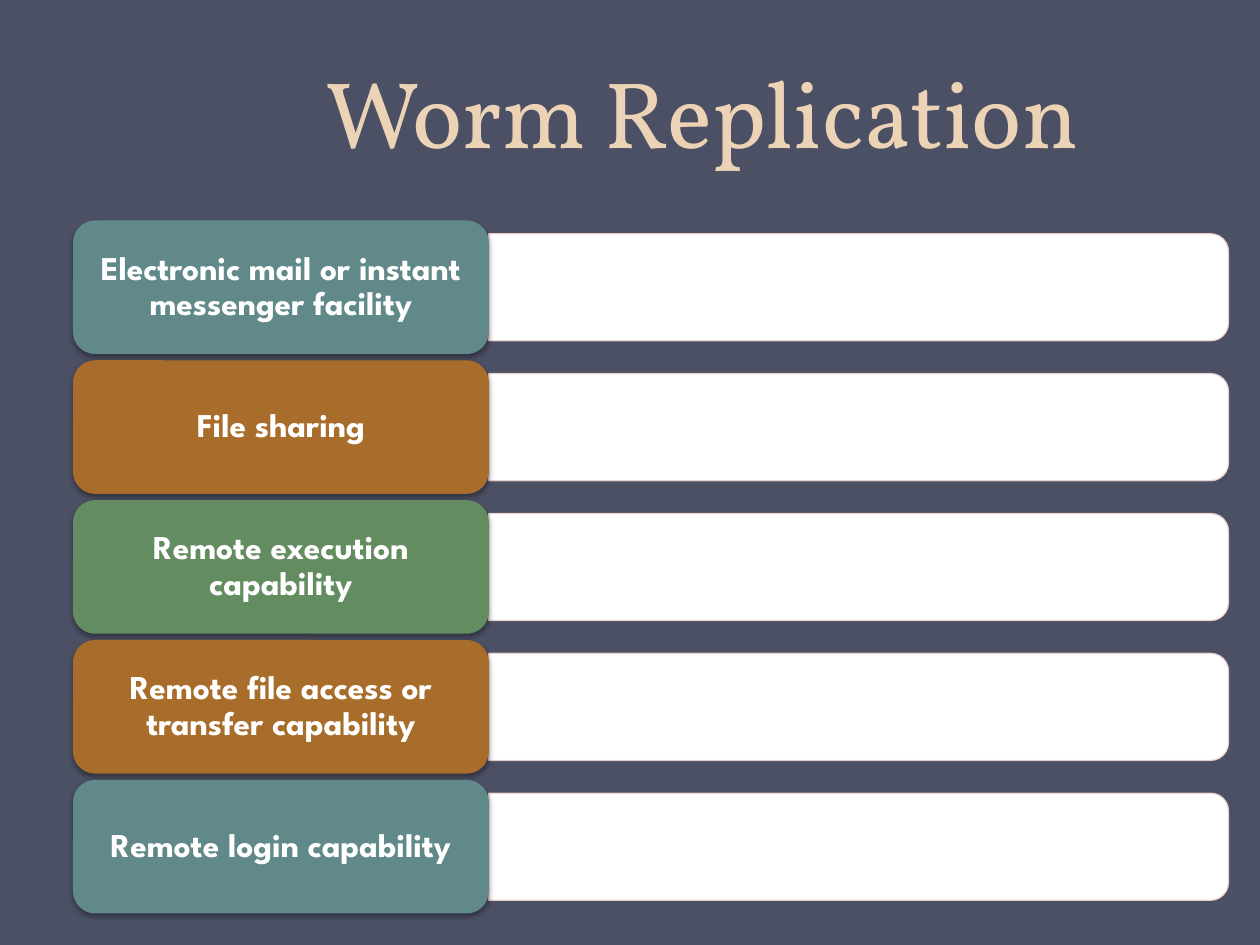
from dataclasses import dataclass

from lxml import etree
from pptx import Presentation
from pptx.dml.color import RGBColor
from pptx.enum import shapes, text
from pptx.oxml import ns, parse_xml
from pptx.slide import Slide
from pptx.text.text import TextFrame
from pptx.util import Inches, Pt

BACKGROUND = RGBColor(0x4B, 0x50, 0x64)
TITLE_COLOR = RGBColor(0xED, 0xD3, 0xB6)
WHITE = RGBColor(0xFF, 0xFF, 0xFF)
BAR_LINE = RGBColor(0xEE, 0xD3, 0xD0)
TEAL = RGBColor(0x61, 0x89, 0x8A)
BROWN = RGBColor(0xA9, 0x6D, 0x2B)
GREEN = RGBColor(0x64, 0x8C, 0x61)

FIRST_TOP, ROW_PITCH = 1.75, 1.11
LABEL_LEFT, LABEL_WIDTH, LABEL_HEIGHT = 0.58, 3.3, 1.06
BAR_LENGTH, BAR_THICKNESS = 5.87, 0.85

SHADOW = (
    f'<a:effectLst {ns.nsdecls("a")}>'
    '<a:outerShdw blurRad="39370" dist="22860" dir="5400000" rotWithShape="0">'
    '<a:srgbClr val="000000"><a:alpha val="35000"/></a:srgbClr>'
    '</a:outerShdw></a:effectLst>'
)


@dataclass(frozen=True)
class Method:
    label: str
    color: RGBColor


METHODS = [
    Method("Electronic mail or instant messenger facility", TEAL),
    Method("File sharing", BROWN),
    Method("Remote execution capability", GREEN),
    Method("Remote file access or transfer capability", BROWN),
    Method("Remote login capability", TEAL),
]


def write_text(frame: TextFrame, content: str, font_name: str, size: float,
               color: RGBColor, bold: bool, spacing: float) -> None:
    frame.word_wrap = True
    frame.text = content
    paragraph = frame.paragraphs[0]
    paragraph.alignment = text.PP_ALIGN.CENTER
    paragraph.line_spacing = spacing
    font = paragraph.runs[0].font
    font.name = font_name
    font.size = Pt(size)
    font.bold = bold
    font.color.rgb = color


def draw_title(slide: Slide, content: str) -> None:
    shape = slide.shapes.add_textbox(
        Inches(1.14), Inches(0.13), Inches(8.86), Inches(1.25))
    write_text(shape.text_frame, content, "Vollkorn", 54, TITLE_COLOR, False, Pt(58))
    shape.text_frame.vertical_anchor = text.MSO_ANCHOR.BOTTOM


def draw_bar(slide: Slide, middle: float) -> None:
    center = LABEL_LEFT + LABEL_WIDTH + BAR_LENGTH / 2
    shape = slide.shapes.add_shape(
        shapes.MSO_SHAPE.ROUND_2_SAME_RECTANGLE,
        Inches(center - BAR_THICKNESS / 2), Inches(middle - BAR_LENGTH / 2),
        Inches(BAR_THICKNESS), Inches(BAR_LENGTH))
    shape.rotation = 90
    shape.shadow.inherit = False
    shape.fill.solid()
    shape.fill.fore_color.rgb = WHITE
    shape.line.color.rgb = BAR_LINE
    shape.line.width = Pt(0.75)
    line_color = shape.line._ln.find(".//" + ns.qn("a:srgbClr"))
    etree.SubElement(line_color, ns.qn("a:alpha"), val="90000")


def draw_label(slide: Slide, method: Method, top: float) -> None:
    shape = slide.shapes.add_shape(
        shapes.MSO_SHAPE.ROUNDED_RECTANGLE,
        Inches(LABEL_LEFT), Inches(top), Inches(LABEL_WIDTH), Inches(LABEL_HEIGHT))
    shape.fill.solid()
    shape.fill.fore_color.rgb = method.color
    shape.line.fill.background()
    shape._element.spPr.append(parse_xml(SHADOW))
    frame = shape.text_frame
    write_text(frame, method.label, "League Spartan", 19, WHITE, True, 0.9)
    frame.vertical_anchor = text.MSO_ANCHOR.MIDDLE
    frame.margin_left = frame.margin_right = Inches(0.08)
    frame.margin_top = frame.margin_bottom = Inches(0.04)


def main() -> None:
    presentation = Presentation()
    presentation.slide_width = Inches(10)
    presentation.slide_height = Inches(7.5)
    slide = presentation.slides.add_slide(presentation.slide_layouts[6])
    slide.background.fill.solid()
    slide.background.fill.fore_color.rgb = BACKGROUND
    draw_title(slide, "Worm Replication")
    for row, method in enumerate(METHODS):
        top = FIRST_TOP + row * ROW_PITCH
        draw_bar(slide, top + LABEL_HEIGHT / 2)
        draw_label(slide, method, top)
    presentation.save("out.pptx")


if __name__ == "__main__":
    main()
